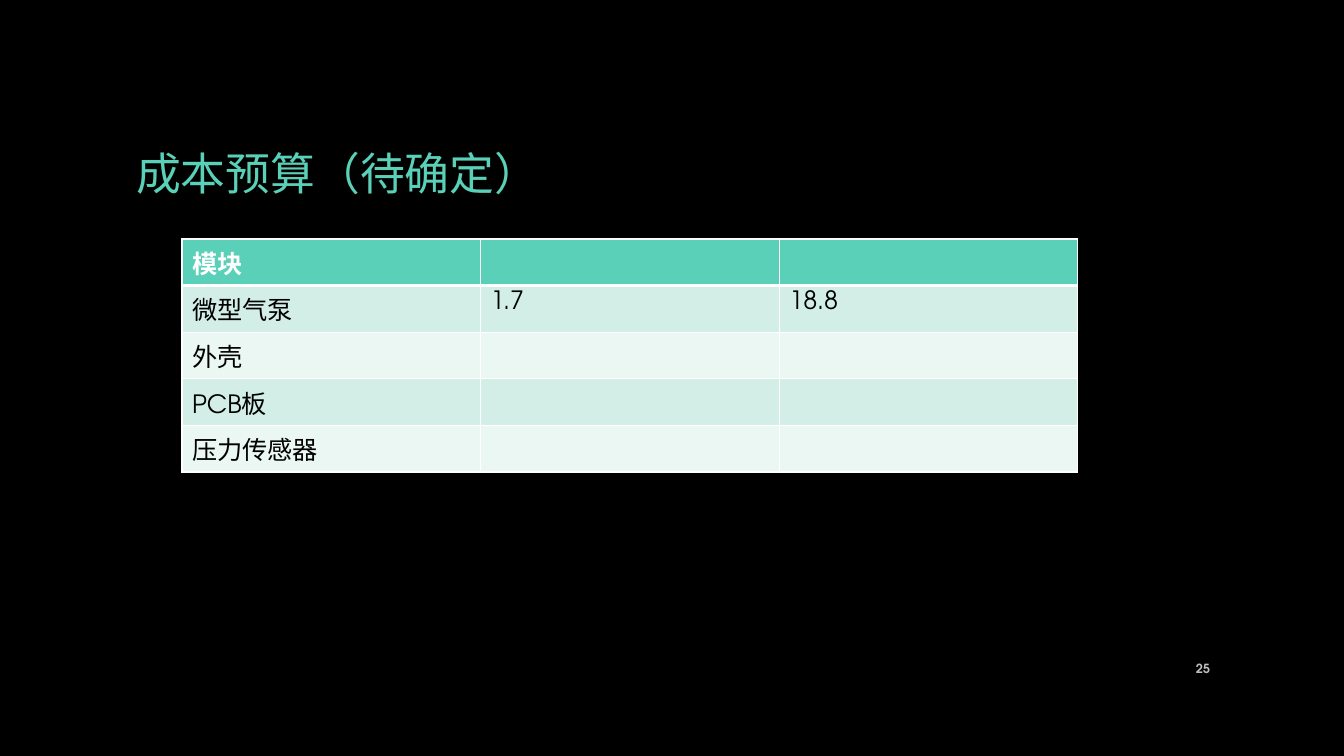
import pptx
import pptx.dml.color
import pptx.enum.text
import pptx.oxml
import pptx.oxml.ns
import pptx.util
from dataclasses import dataclass

TITLE = "成本预算（待确定）"
PAGE_NUMBER = "25"
BUDGET = [
    ("模块", "", ""),
    ("微型气泵", "1.7", "18.8"),
    ("外壳", "", ""),
    ("PCB板", "", ""),
    ("压力传感器", "", ""),
]
SLIDE_SIZE = (1344, 756)
TITLE_BOX = (126, 68, 1092, 210)
NUMBER_BOX = (1159, 648, 61, 40)
BUDGET_BOX = (182, 239, 896, 233)
PX = 12192000 / 1344


@dataclass(frozen=True)
class Theme:
    font: str = "TeX Gyre Adventor"
    background: str = "000000"
    accent: str = "5AD0B8"
    bands: tuple = ("EAF7F3", "D2EEE6")
    rule: str = "FFFFFF"
    header_text: str = "FFFFFF"
    body_text: str = "000000"
    number_text: str = "BFBFBF"
    title_size: int = 32
    table_size: int = 18
    number_size: int = 9


THEME = Theme()
Align = pptx.enum.text.PP_ALIGN
MIDDLE = pptx.enum.text.MSO_ANCHOR.MIDDLE


def emu(px):
    return pptx.util.Emu(round(px * PX))


def assign(target, values):
    for name, value in values.items():
        setattr(target, name, value)


def paint(fill, color):
    fill.solid()
    fill.fore_color.rgb = pptx.dml.color.RGBColor.from_string(color)


def place(shape, box):
    assign(shape, dict(zip(("left", "top", "width", "height"), map(emu, box))))


def write(frame, text, size, color, bold=False, align=Align.LEFT):
    paragraph = frame.paragraphs[0]
    paragraph.alignment = align
    run = paragraph.add_run()
    run.text = text
    assign(run.font, {"name": THEME.font, "size": pptx.util.Pt(size), "bold": bold})
    run.font.color.rgb = pptx.dml.color.RGBColor.from_string(color)


def rule_cell(cell, row):
    widths = {"L": 1, "R": 1, "T": 3 if row == 1 else 1, "B": 3 if row == 0 else 1}
    properties = cell._tc.get_or_add_tcPr()
    for side, width in widths.items():
        properties.append(pptx.oxml.parse_xml(
            f'<a:ln{side} {pptx.oxml.ns.nsdecls("a")} w="{pptx.util.Pt(width)}">'
            f'<a:solidFill><a:srgbClr val="{THEME.rule}"/></a:solidFill></a:ln{side}>'
        ))


def add_budget(slide):
    rows, columns = len(BUDGET), len(BUDGET[0])
    budget = slide.shapes.add_table(rows, columns, *map(emu, BUDGET_BOX)).table
    for r, entries in enumerate(BUDGET):
        for c, entry in enumerate(entries):
            cell = budget.cell(r, c)
            rule_cell(cell, r)
            paint(cell.fill, THEME.bands[r % 2] if r else THEME.accent)
            if entry:
                color = THEME.body_text if r else THEME.header_text
                write(cell.text_frame, entry, THEME.table_size, color, bold=r == 0)


def main():
    deck = pptx.Presentation()
    assign(deck, dict(zip(("slide_width", "slide_height"), map(emu, SLIDE_SIZE))))
    slide = deck.slides.add_slide(deck.slide_layouts[5])
    paint(slide.background.fill, THEME.background)

    title = slide.shapes.title
    place(title, TITLE_BOX)
    assign(title.text_frame, {"vertical_anchor": MIDDLE, "word_wrap": True})
    write(title.text_frame, TITLE, THEME.title_size, THEME.accent)

    number = slide.shapes.add_textbox(*map(emu, NUMBER_BOX))
    assign(number.text_frame, {"vertical_anchor": MIDDLE, "word_wrap": True})
    write(number.text_frame, PAGE_NUMBER, THEME.number_size, THEME.number_text,
          bold=True, align=Align.RIGHT)

    add_budget(slide)
    deck.save("out.pptx")


if __name__ == "__main__":
    main()
